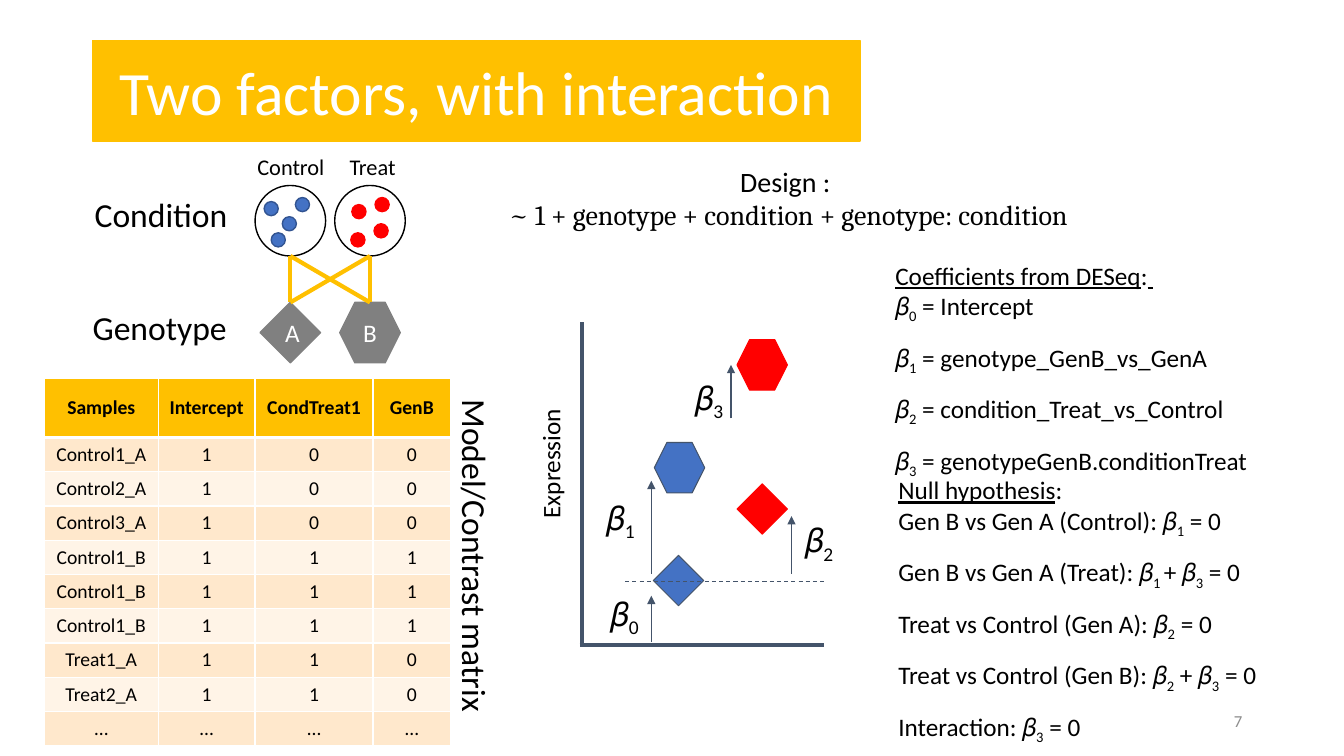
from dataclasses import dataclass

from lxml import etree
from pptx import Presentation
from pptx import util as u
from pptx.dml import color
from pptx.enum import dml, shapes, text
from pptx.oxml import ns

Inches, Pt = u.Inches, u.Pt
KIND = shapes.MSO_SHAPE
LEFT, CENTER, RIGHT = text.PP_ALIGN.LEFT, text.PP_ALIGN.CENTER, text.PP_ALIGN.RIGHT
TOP, MIDDLE = text.MSO_ANCHOR.TOP, text.MSO_ANCHOR.MIDDLE


@dataclass(frozen=True)
class Theme:
    gold: str = "FFC000"
    blue: str = "4472C4"
    blue_edge: str = "325491"
    red: str = "FF0000"
    slate: str = "44546A"
    gray: str = "808080"
    number: str = "8C8C8C"
    black: str = "000000"
    white: str = "FFFFFF"
    bands: tuple = ("FFE8CC", "FFF4E7")
    font: str = "Calibri"
    formula_font: str = "Cambria"
    title: int = 44
    large: int = 24
    design: int = 20
    body: int = 18
    small: int = 16
    cell: int = 14
    footer: int = 12


def apply(target, formats):
    for key, value in formats.items():
        setattr(target, key, value)


def rgb(value):
    return color.RGBColor.from_string(value)


def add_xml(parent, tag, **attributes):
    return etree.SubElement(parent, ns.qn(tag), attributes)


class Deck:
    def __init__(self, theme, slide):
        self.theme, self.slide = theme, slide

    def add_words(self, paragraph, words, size, ink=None, font=None, bold=False,
                  align=LEFT, spacing=1.0, underline=False):
        apply(paragraph, dict(alignment=align, line_spacing=spacing,
                              space_before=Pt(0), space_after=Pt(0)))
        for index, piece in enumerate(words.split("|")):
            if not piece:
                continue
            marked = index % 2 == 1
            run = paragraph.add_run()
            run.text = piece
            apply(run.font, dict(size=Pt(size), name=font or self.theme.font, bold=bold,
                                 underline=marked and underline))
            run.font.color.rgb = rgb(ink or self.theme.black)
            if marked and not underline:
                run._r.get_or_add_rPr().set("baseline", "-25000")

    def frame(self, shape, inset=(0.1, 0.05), anchor=TOP, wrap=True):
        across, down = map(Inches, inset)
        apply(shape.text_frame, dict(
            margin_left=across, margin_right=across, margin_top=down, margin_bottom=down,
            vertical_anchor=anchor, word_wrap=wrap, auto_size=text.MSO_AUTO_SIZE.NONE))
        return shape.text_frame

    def place(self, shape, box):
        apply(shape, dict(zip(("left", "top", "width", "height"), map(Inches, box))))

    def paint(self, shape, fill, edge, weight=1):
        if fill:
            shape.fill.solid()
            shape.fill.fore_color.rgb = rgb(fill)
        else:
            shape.fill.background()
        shape.line.color.rgb = rgb(edge)
        shape.line.width = Pt(weight)

    def title(self, words, box):
        banner = self.slide.shapes.title
        self.place(banner, box)
        geometry = add_xml(banner._element.spPr, "a:prstGeom", prst="roundRect")
        add_xml(geometry, "a:avLst")
        self.paint(banner, self.theme.gold, self.theme.gold)
        frame = self.frame(banner, anchor=MIDDLE)
        self.add_words(frame.paragraphs[0], words, self.theme.title, self.theme.white,
                       align=CENTER)

    def body(self, slot, heading, items, box):
        holder = self.slide.placeholders[slot]
        self.place(holder, box)
        frame = self.frame(holder, (0.13, 0.13))
        for index, words in enumerate([heading, *items]):
            paragraph = frame.add_paragraph() if index else frame.paragraphs[0]
            self.add_words(paragraph, words, self.theme.body,
                           spacing=1.5 if index > 1 else 1.0, underline=index == 0)
            properties = paragraph._p.get_or_add_pPr()
            for key in ("marL", "indent"):
                properties.set(key, "0")
            add_xml(properties, "a:buNone")

    def label(self, words, box, size, inset=(0.1, 0.05), anchor=TOP, wrap=True,
              rotation=0, **style):
        caption = self.slide.shapes.add_textbox(*map(Inches, box))
        caption.rotation = rotation
        frame = self.frame(caption, inset, anchor, wrap)
        self.add_words(frame.paragraphs[0], words, size, **style)
        return frame

    def shape(self, kind, box, fill, edge, weight=1, words=""):
        figure = self.slide.shapes.add_shape(kind, *map(Inches, box))
        figure.shadow.inherit = False
        self.paint(figure, fill, edge, weight)
        if words:
            self.add_words(self.frame(figure, anchor=MIDDLE).paragraphs[0], words,
                           self.theme.body, self.theme.white, align=CENTER)

    def line(self, start, end, ink, weight, arrow=False, dashed=False):
        link = self.slide.shapes.add_connector(
            shapes.MSO_CONNECTOR.STRAIGHT, *map(Inches, (*start, *end)))
        link.line.color.rgb = rgb(ink)
        link.line.width = Pt(weight)
        if dashed:
            link.line.dash_style = dml.MSO_LINE.DASH
        if arrow:
            add_xml(link._element.spPr.find(ns.qn("a:ln")), "a:tailEnd", type="triangle")
        add_xml(link._element.spPr, "a:effectLst")

    def table(self, rows, corner, widths, heights):
        size = (sum(widths), sum(heights))
        grid = self.slide.shapes.add_table(
            len(rows), len(widths), *map(Inches, (*corner, *size))).table
        for column, width in zip(grid.columns, widths):
            column.width = Inches(width)
        for index, (row, height, values) in enumerate(zip(grid.rows, heights, rows)):
            row.height = Inches(height)
            for cell, value in zip(row.cells, values):
                self.borders(cell, top=3 if index == 1 else 1, bottom=1 if index else 3)
                cell.fill.solid()
                cell.fill.fore_color.rgb = rgb(
                    self.theme.bands[(index - 1) % 2] if index else self.theme.gold)
                cell.vertical_anchor = MIDDLE
                self.add_words(cell.text_frame.paragraphs[0], value, self.theme.cell,
                               bold=index == 0, align=CENTER)

    def borders(self, cell, top, bottom):
        properties = cell._tc.get_or_add_tcPr()
        for side, weight in dict(L=1, R=1, T=top, B=bottom).items():
            edge = add_xml(properties, "a:ln" + side, w=str(Pt(weight)))
            add_xml(add_xml(edge, "a:solidFill"), "a:srgbClr", val=self.theme.white)


theme = Theme()
presentation = Presentation()
apply(presentation, dict(slide_width=Inches(13.33), slide_height=Inches(7.5)))
deck = Deck(theme, presentation.slides.add_slide(presentation.slide_layouts[3]))

deck.title("Two factors, with interaction", (0.92, 0.4, 7.61, 1))
deck.body(1, "|Coefficients from DESeq|:| |", [
    "𝛽|0| = Intercept",
    "𝛽|1| = genotype_GenB_vs_GenA",
    "𝛽|2| = condition_Treat_vs_Control",
    "𝛽|3| = genotypeGenB.conditionTreat",
], (8.75, 2.45, 3.98, 2.12))
deck.body(2, "|Null hypothesis|: ", [
    "Gen B vs Gen A (Control): 𝛽|1| = 0",
    "Gen B vs Gen A (Treat): 𝛽|1 |+ 𝛽|3| = 0",
    "Treat vs Control (Gen A): 𝛽|2| = 0",
    "Treat vs Control (Gen B): 𝛽|2| + 𝛽|3| = 0",
    "Interaction: 𝛽|3| = 0",
], (8.78, 4.58, 4.08, 2.69))
deck.label("7", (9.42, 6.95, 3, 0.4), theme.footer, anchor=MIDDLE,
           ink=theme.number, align=RIGHT)

design = deck.label("Design : ", (4.23, 1.58, 7.18, 0.77), theme.design, align=CENTER)
deck.add_words(design.add_paragraph(), "~ 1 + genotype + condition + genotype: condition",
               theme.design, font=theme.formula_font, align=CENTER)

for factor, box in (("Condition", (0.84, 1.87, 1.53, 0.5)), ("Genotype", (0.82, 3, 1.55, 0.5))):
    deck.label(factor, box, theme.large, wrap=False)

conditions = (
    ("Control", 2.51, 2.53, theme.blue, theme.blue_edge,
     ((2.8, 2.15), (2.93, 1.96), (2.62, 2), (2.69, 2.31))),
    ("Treat", 3.32, 3.32, theme.red, theme.red,
     ((3.71, 2.22), (3.72, 1.96), (3.49, 2.03), (3.48, 2.31))),
)
for condition, label_left, circle_left, fill, edge, samples in conditions:
    deck.label(condition, (label_left, 1.47, 0.75, 0.37), theme.small, (0, 0.05), align=CENTER)
    deck.shape(KIND.OVAL, (circle_left, 1.84, 0.7, 0.7), None, theme.black)
    for sample in samples:
        deck.shape(KIND.OVAL, (*sample, 0.14, 0.14), fill, edge)

for genotype, kind, left in (("A", KIND.DIAMOND, 2.58), ("B", KIND.HEXAGON, 3.37)):
    deck.shape(kind, (left, 3, 0.6, 0.6), theme.gray, theme.gray, words=genotype)
centers = (2.88, 3.67)
for condition_x in centers:
    for genotype_x in centers:
        deck.line((condition_x, 2.54), (genotype_x, 3), theme.gold, 3)

deck.line((5.75, 6.4), (8.17, 6.4), theme.slate, 3)
deck.line((5.77, 6.4), (5.77, 3.19), theme.slate, 3)
deck.label("Expression", (4.81, 4.39, 1.3, 0.4), theme.body, wrap=False, rotation=270)
means = (
    (KIND.DIAMOND, 6.48, 5.51, theme.blue, theme.slate),
    (KIND.DIAMOND, 7.31, 4.8, theme.red, theme.red),
    (KIND.HEXAGON, 6.49, 4.39, theme.blue, theme.slate),
    (KIND.HEXAGON, 7.31, 3.37, theme.red, theme.red),
)
for kind, left, top, fill, edge in means:
    deck.shape(kind, (left, top, 0.5, 0.5), fill, edge, 0.75)
deck.line((6.2, 5.77), (8.17, 5.77), theme.slate, 0.75, dashed=True)
effects = (
    (5.98, 5.75, 6.46, 6.37, 5.91),
    (5.94, 4.8, 6.46, 5.69, 4.77),
    (7.91, 5.02, 7.85, 5.69, 5.12),
    (6.82, 3.61, 7.25, 4.15, 3.62),
)
for beta, (left, top, x, base, tip) in enumerate(effects):
    deck.label(f"𝛽|{beta}|", (left, top, 0.43, 0.62), theme.large, (0, 0.13), align=CENTER)
    deck.line((x, base), (x, tip), theme.slate, 0.75, arrow=True)

groups = (
    (("Control1_A", "Control2_A", "Control3_A"), "100"),
    (("Control1_B",) * 3, "111"),
    (("Treat1_A", "Treat2_A"), "110"),
    (("…",), "………"),
)
matrix = [("Samples", "Intercept", "CondTreat1", "GenB")]
matrix += [(sample, *codes) for samples, codes in groups for sample in samples]
deck.table(matrix, (0.44, 3.75), (1.13, 0.96, 1.17, 0.77), (0.59, *[0.34] * 9))
deck.label("Model/Contrast matrix", (3.05, 5.28, 3.33, 0.5), theme.large, wrap=False, rotation=90)

presentation.save("out.pptx")
